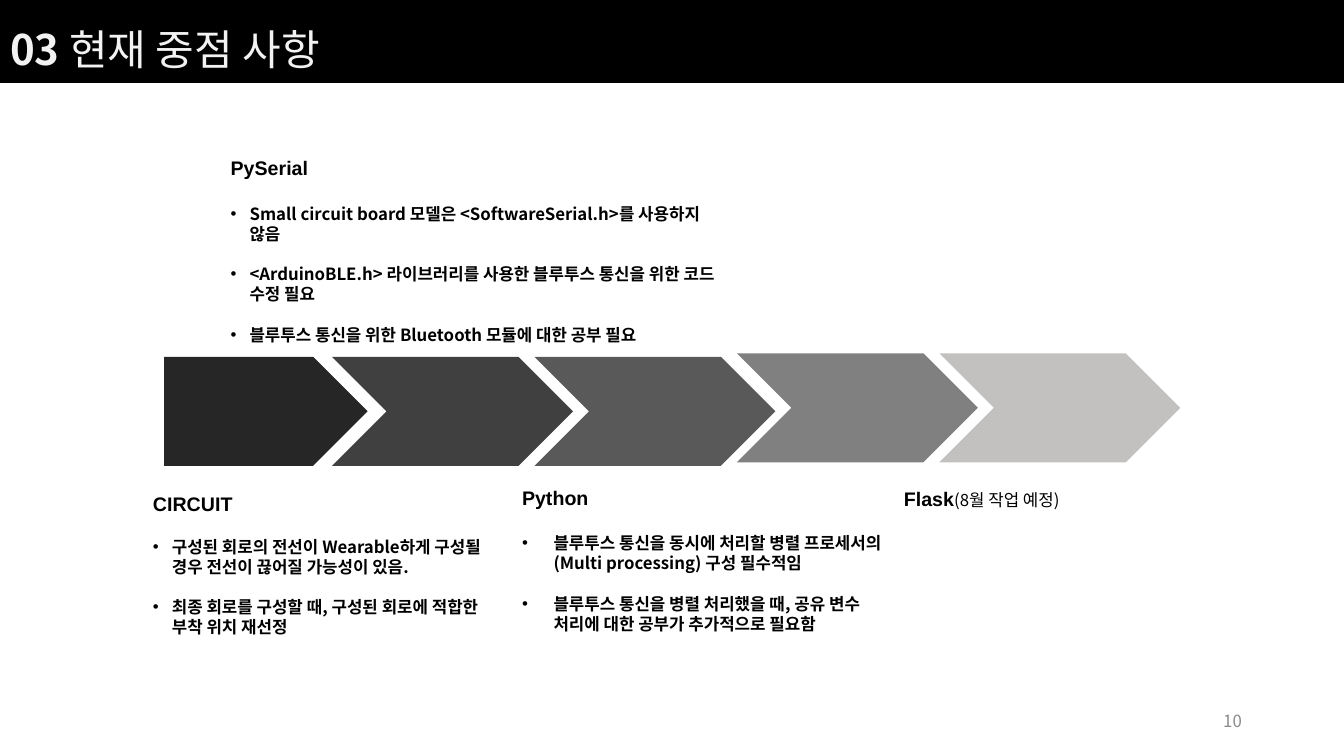
from lxml.etree import SubElement
from pptx import Presentation
from pptx.dml.color import RGBColor
from pptx.enum.shapes import MSO_SHAPE
from pptx.enum.text import MSO_ANCHOR, MSO_AUTO_SIZE, PP_ALIGN
from pptx.oxml.ns import qn
from pptx.util import Pt

BLACK = RGBColor(0x00, 0x00, 0x00)
TITLE_WHITE = RGBColor(0xF2, 0xF2, 0xF2)
NUMBER_GRAY = RGBColor(0x8B, 0x8B, 0x8B)
STEP_COLORS = [
    RGBColor(0x26, 0x26, 0x26),
    RGBColor(0x40, 0x40, 0x40),
    RGBColor(0x59, 0x59, 0x59),
    RGBColor(0x80, 0x80, 0x80),
    RGBColor(0xAF, 0xAB, 0xAB),
]
LATIN_FONT = "Arial"
KOREAN_FONT = "Noto Sans CJK KR"


def add_span(para, text, size=12, font=KOREAN_FONT, color=BLACK, bold=False):
    """Add one formatted run, with the same face for Latin and Korean."""
    span = para.add_run()
    span.text = text
    span.font.size = Pt(size)
    span.font.name = font
    span.font.bold = bold
    span.font.color.rgb = color
    SubElement(span.font._element, qn("a:ea"), typeface=KOREAN_FONT)
    return span


class SlideBuilder:
    def __init__(self, deck):
        self.page = deck.slides.add_slide(deck.slide_layouts[5])

    def place(self, box, left, top, width, height, anchor=MSO_ANCHOR.TOP):
        box.left, box.top = Pt(left), Pt(top)
        box.width, box.height = Pt(width), Pt(height)
        frame = box.text_frame
        frame.word_wrap = True
        frame.auto_size = MSO_AUTO_SIZE.NONE
        frame.vertical_anchor = anchor
        frame.margin_left = frame.margin_right = Pt(7.2)
        frame.margin_top = frame.margin_bottom = Pt(3.6)
        return frame.paragraphs[0]

    def title(self, number, text):
        box = self.page.shapes.title
        para = self.place(box, 0, 11.5, 345.6, 43.2)
        para.alignment = PP_ALIGN.LEFT
        para.line_spacing = Pt(38)
        add_span(para, number, size=30, color=TITLE_WHITE, bold=True)
        add_span(para, text, size=30, color=TITLE_WHITE)

    def shape(self, shapes, kind, left, top, width, height, color):
        shape = shapes.add_shape(kind, Pt(left), Pt(top), Pt(width), Pt(height))
        shape.shadow.inherit = False
        shape.fill.solid()
        shape.fill.fore_color.rgb = color
        shape.line.fill.background()
        return shape

    def title_bar(self):
        bar = self.shape(self.page.shapes, MSO_SHAPE.RECTANGLE,
                         0, 0, 960, 58.3, BLACK)
        bar.line.color.rgb = BLACK
        bar.line.width = Pt(2)
        self.page.shapes.title.element.addprevious(bar.element)

    def arrows(self, colors):
        group = self.page.shapes.add_group_shape()
        for index, color in enumerate(colors):
            first = index == 0
            arrow = self.shape(
                group.shapes,
                MSO_SHAPE.PENTAGON if first else MSO_SHAPE.CHEVRON,
                117.2 if first else 92.6 + 144.6 * index,
                254.9 if index < 3 else 252.4,
                145.4 if first else 172.1,
                77.8, color)
            arrow.adjustments[0] = 0.5
        # The last step is partly transparent
        color_node = arrow.fill._xPr.find(".//" + qn("a:srgbClr"))
        SubElement(color_node, qn("a:alpha"), val="75000")

    def text_box(self, left, top, width, height, anchor=MSO_ANCHOR.TOP):
        box = self.page.shapes.add_textbox(0, 0, 0, 0)
        return box, self.place(box, left, top, width, height, anchor)

    def topic(self, left, top, width, height, heading, bullets=(),
              note="", indent=13.5, heading_gap=17):
        box, para = self.text_box(left, top, width, height)
        para.line_spacing = Pt(16)
        add_span(para, heading, size=14, font=LATIN_FONT, bold=True)
        if note:
            add_span(para, note)
        for index, text in enumerate(bullets):
            para = box.text_frame.add_paragraph()
            self.bullet(para, indent)
            para.line_spacing = Pt(14.4)
            para.space_before = Pt(14.4 if index else heading_gap)
            add_span(para, text, bold=True)

    def bullet(self, para, indent):
        props = para._p.get_or_add_pPr()
        props.set("marL", str(Pt(indent)))
        props.set("indent", str(-Pt(indent)))
        SubElement(props, qn("a:buFont"), typeface=LATIN_FONT)
        SubElement(props, qn("a:buChar"), char="•")

    def page_number(self, number):
        _, para = self.text_box(678.2, 500.4, 216, 28.8, MSO_ANCHOR.MIDDLE)
        para.alignment = PP_ALIGN.RIGHT
        add_span(para, number, color=NUMBER_GRAY)


def main():
    deck = Presentation()
    deck.slide_width, deck.slide_height = Pt(960), Pt(540)
    builder = SlideBuilder(deck)

    # Header and page number
    builder.title_bar()
    builder.title("03 ", "현재 중점 사항")
    builder.page_number("10")

    # Process arrows
    builder.arrows(STEP_COLORS)

    # Topics above and below the arrows
    builder.topic(157.7, 108.7, 364.3, 140, "PySerial", [
        "Small circuit board 모델은 <SoftwareSerial.h>를 사용하지 않음",
        "<ArduinoBLE.h> 라이브러리를 사용한 블루투스 통신을 위한 코드 수정 필요",
        "블루투스 통신을 위한 Bluetooth 모듈에 대한 공부 필요",
    ])
    builder.topic(365.8, 344.2, 285.1, 113.8, "Python", [
        "블루투스 통신을 동시에 처리할 병렬 프로세서의(Multi processing) 구성 필수적임",
        "블루투스 통신을 병렬 처리했을 때, 공유 변수 처리에 대한 공부가 추가적으로 필요함",
    ], indent=22.5)
    builder.topic(102.2, 348.5, 264.2, 126, "CIRCUIT", [
        "구성된 회로의 전선이 Wearable하게 구성될 경우 전선이 끊어질 가능성이 있음.",
        "최종 회로를 구성할 때, 구성된 회로에 적합한 부착 위치 재선정",
    ], heading_gap=15)
    builder.topic(638.6, 344.9, 264.2, 23.8, "Flask", note="(8월 작업 예정)")

    deck.save("out.pptx")


if __name__ == "__main__":
    main()
